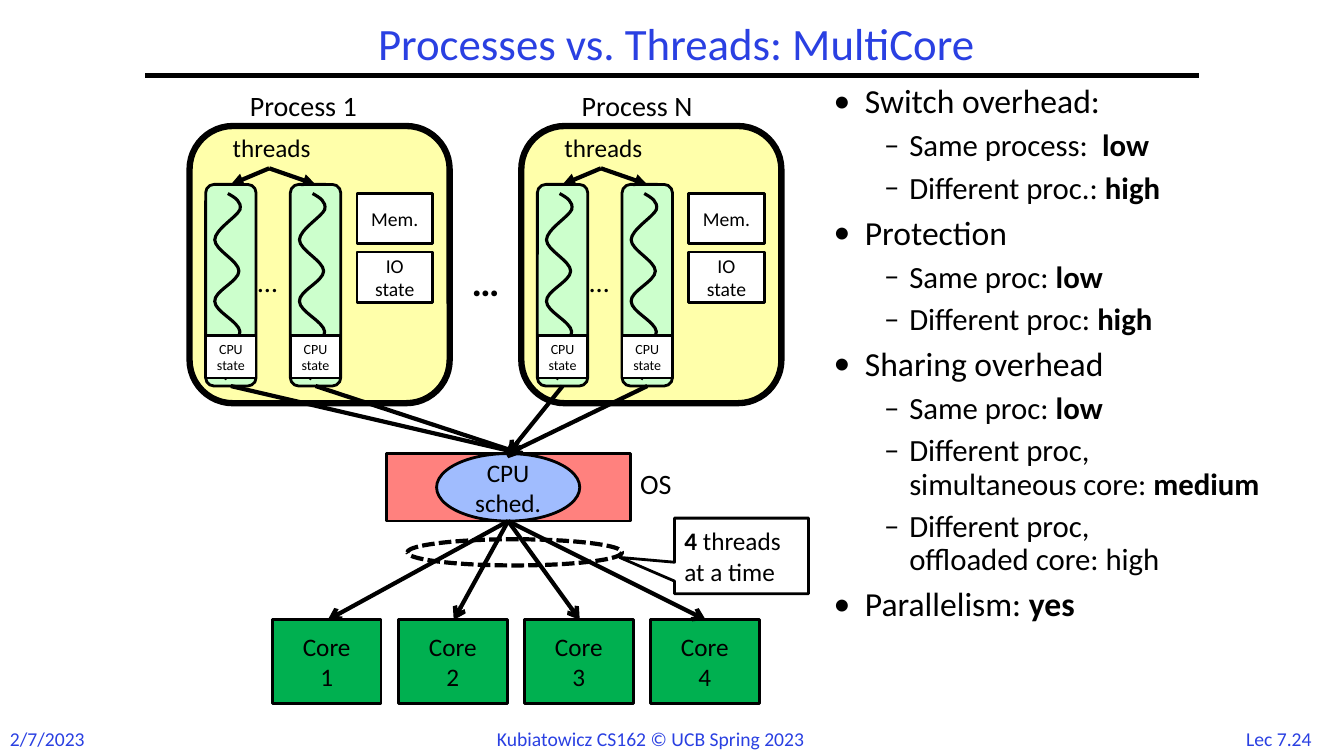
from dataclasses import dataclass

from lxml import etree
from pptx import Presentation
from pptx.dml.color import RGBColor
from pptx.enum.dml import MSO_LINE
from pptx.enum.shapes import MSO_CONNECTOR, MSO_SHAPE
from pptx.enum.text import MSO_ANCHOR, MSO_AUTO_SIZE, PP_ALIGN
from pptx.oxml.ns import qn
from pptx.shapes.autoshape import Shape
from pptx.text.text import TextFrame
from pptx.util import Inches, Pt

BLACK = RGBColor(0x00, 0x00, 0x00)
WHITE = RGBColor(0xFF, 0xFF, 0xFF)
BLUE = RGBColor(0x2A, 0x40, 0xE2)
YELLOW = RGBColor(0xFF, 0xFF, 0xAA)
MINT = RGBColor(0xCC, 0xFF, 0xCC)
RED = RGBColor(0xFF, 0x81, 0x7E)
SKY = RGBColor(0xA0, 0xBC, 0xFE)
GREEN = RGBColor(0x00, 0xB0, 0x50)
FONT = "Calibri"
LEFT, CENTER = PP_ALIGN.LEFT, PP_ALIGN.CENTER
MIDDLE = MSO_ANCHOR.MIDDLE
FIT_TEXT, FIXED = MSO_AUTO_SIZE.SHAPE_TO_FIT_TEXT, MSO_AUTO_SIZE.NONE
STRAIGHT = MSO_CONNECTOR.STRAIGHT
RECT, ROUNDED = MSO_SHAPE.RECTANGLE, MSO_SHAPE.ROUNDED_RECTANGLE
OVAL, CALLOUT = MSO_SHAPE.OVAL, MSO_SHAPE.RECTANGULAR_CALLOUT
SYS_DASH = MSO_LINE.SQUARE_DOT

Spot = tuple[float, float]
Box = tuple[float, float, float, float]


@dataclass(frozen=True)
class Process:
    name: str
    left: float
    scheduler_x: float


@dataclass(frozen=True)
class Topic:
    level: int
    plain: str
    bold: str = ""


@dataclass(frozen=True)
class Label:
    text: str
    box: Box
    size: int
    color: RGBColor = BLACK
    bold: bool = False
    align: PP_ALIGN = LEFT


PROCESSES = [Process("Process 1", 1.88, 5.17), Process("Process N", 5.17, 5.04)]
THREAD_OFFSETS = (0.16, 1.0)
WAVE_START = (0.22, 0.09)
WAVE_CURVES = [
    ((0.29, 0.13), (0.36, 0.17), (0.34, 0.25)),
    ((0.31, 0.32), (0.09, 0.45), (0.09, 0.55)),
    ((0.09, 0.65), (0.33, 0.76), (0.33, 0.86)),
    ((0.33, 0.96), (0.08, 1.06), (0.09, 1.16)),
    ((0.09, 1.26), (0.33, 1.36), (0.34, 1.46)),
    ((0.34, 1.57), (0.12, 1.70), (0.10, 1.77)),
    ((0.08, 1.85), (0.21, 1.93), (0.21, 1.93)),
]
SCHEDULER_X = 5.04
TOPICS = [
    Topic(0, "Switch overhead:"),
    Topic(1, "Same process:  ", "low"),
    Topic(1, "Different proc.: ", "high"),
    Topic(0, "Protection"),
    Topic(1, "Same proc: ", "low"),
    Topic(1, "Different proc: ", "high"),
    Topic(0, "Sharing overhead"),
    Topic(1, "Same proc: ", "low"),
    Topic(1, "Different proc, \nsimultaneous core: ", "medium"),
    Topic(1, "Different proc,\noffloaded core: high"),
    Topic(0, "Parallelism: ", "yes"),
]
TITLE = Label("Processes vs. Threads: MultiCore", (2, 0.17, 9.42, 0.58), 32, BLUE, align=CENTER)
LABELS = [
    Label("Lec 7.24", (12.2, 7.16, 0.97, 0.33), 14, BLUE, align=CENTER),
    Label("2/7/2023", (0, 7.16, 0.96, 0.34), 14, BLUE),
    Label("Kubiatowicz CS162 © UCB Spring 2023", (4.83, 7.16, 3.68, 0.34), 14, BLUE),
    Label("OS", (6.25, 4.58, 0.61, 0.44), 20),
    Label("…", (4.58, 2.5, 0.6, 0.57), 28, bold=True),
]


def style_font(paragraph, size: float, color: RGBColor = BLACK) -> None:
    font = paragraph.font
    font.name, font.size, font.color.rgb = FONT, Pt(size), color


def write(paragraph, text: str, bold: bool = False) -> None:
    for index, line in enumerate(text.split("\n")):
        if index:
            paragraph.add_line_break()
        run = paragraph.add_run()
        run.text = line
        if bold:
            run.font.bold = True


def add_label(shapes, label: Label) -> TextFrame:
    frame = shapes.add_textbox(*map(Inches, label.box)).text_frame
    frame.word_wrap = False
    frame.auto_size = FIT_TEXT
    paragraph = frame.paragraphs[0]
    paragraph.alignment = label.align
    style_font(paragraph, label.size, label.color)
    write(paragraph, label.text, label.bold)
    return frame


def add_block(shapes, kind: MSO_SHAPE, box: Box, fill: RGBColor | None,
              text: str = "", size: float = 18, weight: float = 2) -> Shape:
    block = shapes.add_shape(kind, *map(Inches, box))
    block.shadow.inherit = False
    if fill is None:
        block.fill.background()
    else:
        block.fill.solid()
        block.fill.fore_color.rgb = fill
    block.line.color.rgb = BLACK
    block.line.width = Pt(weight)
    if text:
        frame = block.text_frame
        frame.word_wrap = True
        frame.vertical_anchor = MIDDLE
        frame.margin_left = frame.margin_right = Inches(0.05)
        paragraph = frame.paragraphs[0]
        paragraph.alignment = CENTER
        style_font(paragraph, size)
        write(paragraph, text)
    return block


def add_line(shapes, start: Spot, end: Spot, head: str = "") -> None:
    line = shapes.add_connector(STRAIGHT, *map(Inches, start + end))
    line.line.color.rgb = BLACK
    line.line.width = Pt(3)
    if head:
        etree.SubElement(line.line._get_or_add_ln(), qn("a:tailEnd"), type=head)
    etree.SubElement(line._element.spPr, qn("a:effectLst"))


def add_wave(shapes, left: float, top: float) -> None:
    def place(spot: Spot) -> tuple[int, int]:
        return Inches(left + spot[0]), Inches(top + spot[1])

    builder = shapes.build_freeform(*place(WAVE_START))
    builder.add_line_segments([place(curve[-1]) for curve in WAVE_CURVES], close=False)
    wave = builder.convert_to_shape()
    for segment, curve in zip(list(wave._element.iter(qn("a:lnTo"))), WAVE_CURVES):
        bend = etree.Element(qn("a:cubicBezTo"))
        for x, y in map(place, curve):
            etree.SubElement(bend, qn("a:pt"), x=str(x - wave.left), y=str(y - wave.top))
        segment.getparent().replace(segment, bend)
    wave.shadow.inherit = False
    wave.fill.background()
    wave.line.color.rgb = BLACK
    wave.line.width = Pt(2.25)


def add_process(shapes, process: Process) -> None:
    left = process.left
    add_label(shapes, Label(process.name, (left + 0.5, 0.83, 1.45, 0.44), 20))
    add_block(shapes, ROUNDED, (left, 1.25, 2.58, 2.75), YELLOW, weight=4.5)
    add_block(shapes, RECT, (left + 1.66, 2.5, 0.75, 0.5), WHITE, "IO\nstate", 14)
    add_block(shapes, RECT, (left + 1.66, 1.92, 0.75, 0.5), WHITE, "Mem.", 14)
    add_label(shapes, Label("…", (left + 0.58, 2.58, 0.48, 0.44), 20))
    add_label(shapes, Label("threads", (left + 0.33, 1.26, 1.04, 0.4), 18))
    for offset in THREAD_OFFSETS:
        thread, middle = left + offset, left + offset + 0.25
        add_block(shapes, ROUNDED, (thread, 1.83, 0.5, 2), MINT)
        add_wave(shapes, thread, 1.83)
        add_block(shapes, RECT, (thread, 3.33, 0.5, 0.42), WHITE, "CPU\nstate", 10)
        add_line(shapes, (left + 0.79, 1.67), (middle, 1.83), "triangle")
        add_line(shapes, (middle, 3.83), (process.scheduler_x, 4.5), "arrow")


def add_topics(shapes) -> None:
    frame = shapes.add_textbox(*map(Inches, (8.17, 0.79, 4.83, 5.92))).text_frame
    frame.word_wrap = True
    for index, topic in enumerate(TOPICS):
        paragraph = frame.add_paragraph() if index else frame.paragraphs[0]
        size, margin, hang, mark = ((24, 0.31, 0.31, "•"), (22, 0.75, 0.25, "–"))[topic.level]
        paragraph.level = topic.level
        paragraph.line_spacing = 0.9
        if index:
            paragraph.space_before = Pt(size * 0.3)
        properties = paragraph._p.get_or_add_pPr()
        properties.set("marL", str(Inches(margin)))
        properties.set("indent", str(-Inches(hang)))
        etree.SubElement(properties, qn("a:buFont"), typeface=FONT)
        etree.SubElement(properties, qn("a:buChar"), char=mark)
        style_font(paragraph, size)
        write(paragraph, topic.plain)
        if topic.bold:
            write(paragraph, topic.bold, True)


def main() -> None:
    deck = Presentation()
    deck.slide_width, deck.slide_height = Inches(13.33), Inches(7.5)
    shapes = deck.slides.add_slide(deck.slide_layouts[6]).shapes
    add_line(shapes, (1.44, 0.75), (11.89, 0.75))
    title = add_label(shapes, TITLE)
    title.word_wrap, title.auto_size, title.vertical_anchor = True, FIXED, MIDDLE
    title.paragraphs[0].line_spacing = 0.9
    for label in LABELS:
        add_label(shapes, label)
    add_block(shapes, RECT, (3.83, 4.5, 2.42, 0.67), RED)
    add_block(shapes, OVAL, (4.33, 4.5, 1.42, 0.67), SKY, "CPU sched.")
    callout = add_block(shapes, CALLOUT, (6.69, 5.14, 1.33, 0.75), WHITE, "4")
    callout.adjustments[0], callout.adjustments[1] = -0.91, 0.02
    callout.text_frame.margin_left = Inches(0.1)
    threads = callout.text_frame.paragraphs[0]
    threads.alignment = LEFT
    threads.runs[0].font.bold = True
    write(threads, " threads at a time")
    for process in PROCESSES:
        add_process(shapes, process)
    for core in range(4):
        left = 2.7 + 1.25 * core
        add_block(shapes, RECT, (left, 6.15, 1.08, 0.83), GREEN, f"Core\n{core + 1}")
        add_line(shapes, (SCHEDULER_X, 5.17), (left + 0.55, 6.15), "arrow")
    ring = add_block(shapes, OVAL, (4.04, 5.35, 2.13, 0.26), None, weight=3)
    ring.line.dash_style = SYS_DASH
    add_topics(shapes)
    deck.save("out.pptx")


if __name__ == "__main__":
    main()
